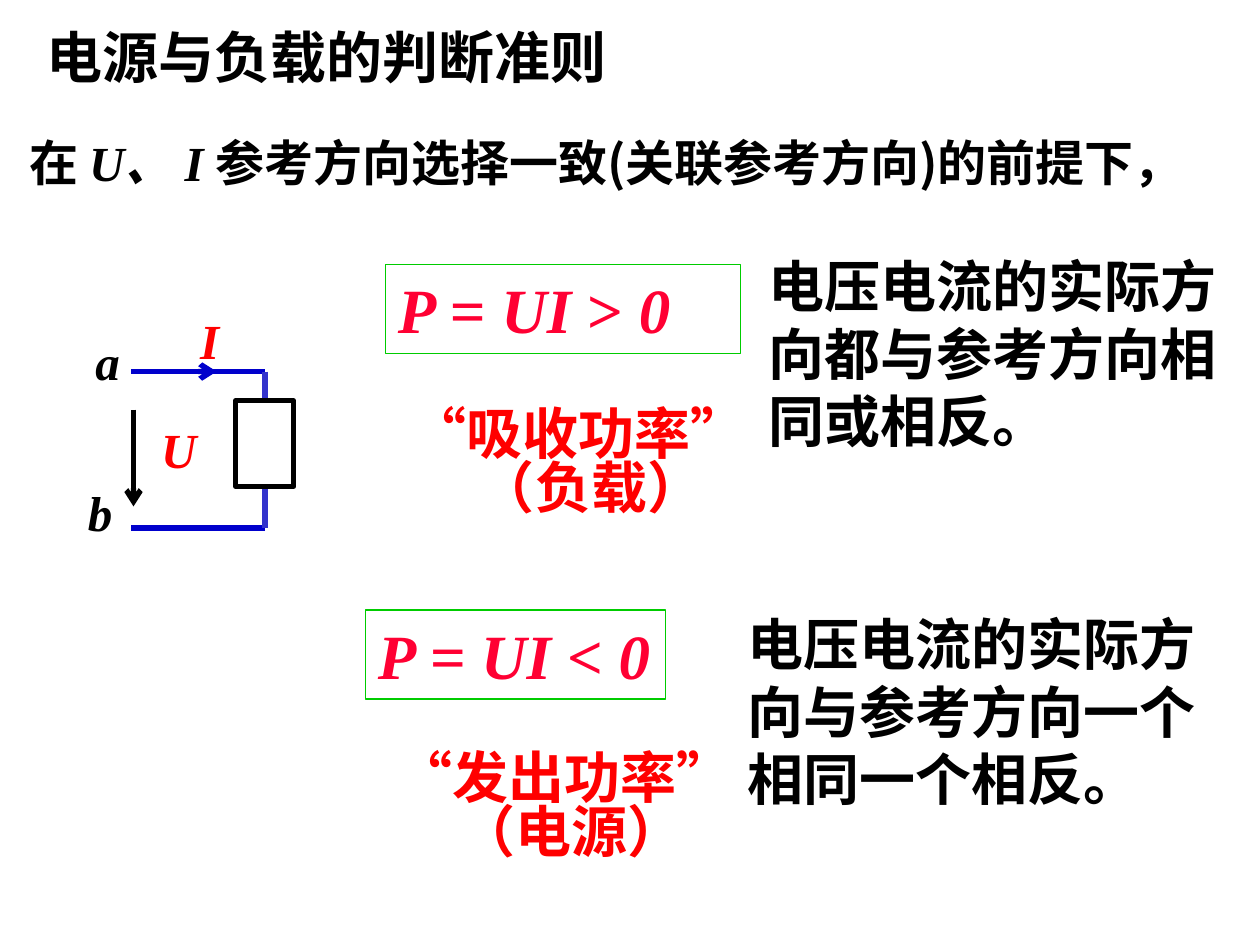
from dataclasses import dataclass

from lxml.etree import SubElement
from pptx import Presentation
from pptx.dml.color import RGBColor
from pptx.enum.shapes import MSO_CONNECTOR, MSO_SHAPE
from pptx.enum.text import MSO_ANCHOR, PP_ALIGN
from pptx.oxml.ns import qn
from pptx.util import Pt

BLACK = RGBColor(0x00, 0x00, 0x00)
WHITE = RGBColor(0xFF, 0xFF, 0xFF)
RED = RGBColor(0xFF, 0x00, 0x00)
CRIMSON = RGBColor(0xFF, 0x00, 0x33)
GREEN = RGBColor(0x00, 0xCC, 0x00)
BLUE = RGBColor(0x00, 0x00, 0xCC)
LIGHT_BLUE = RGBColor(0x33, 0x33, 0xCC)
CHINESE = "Noto Sans CJK SC"
ROMAN = "Times New Roman"


@dataclass
class Run:
    text: str
    italic: bool = False
    font: str = ROMAN


@dataclass
class Line:
    runs: list[Run]
    align: PP_ALIGN = PP_ALIGN.LEFT
    spacing: float = 1.0
    margin: float = 0
    indent: float = 0


@dataclass
class Box:
    left: float
    top: float
    width: float
    height: float
    lines: list[Line]
    size: float
    color: RGBColor = BLACK
    wrap: bool = True
    anchor: MSO_ANCHOR = MSO_ANCHOR.TOP
    border: RGBColor | None = None


@dataclass
class Wire:
    start: tuple[float, float]
    end: tuple[float, float]
    color: RGBColor
    arrow: bool = False


def plain(text: str, font: str = CHINESE) -> list[Line]:
    return [Line([Run(text, font=font)])]


def verdict(power: str, role: str, shift: float) -> list[Line]:
    return [
        Line([Run(power, font=CHINESE)], PP_ALIGN.CENTER, 0.8),
        Line([Run(role, font=CHINESE)], PP_ALIGN.CENTER, 0.8, margin=shift),
    ]


def symbol(left: float, top: float, width: float, text: str, color: RGBColor) -> Box:
    return Box(left, top, width, 41, [Line([Run(text, True)])], 28, color, wrap=False)


def draw_box(slide, box: Box) -> None:
    place = Pt(box.left), Pt(box.top), Pt(box.width), Pt(box.height)
    if box.border is None:
        shape = slide.shapes.add_textbox(*place)
    else:
        shape = slide.shapes.add_shape(MSO_SHAPE.RECTANGLE, *place)
        shape.shadow.inherit = False
        shape.fill.background()
        shape.line.color.rgb = box.border
        shape.line.width = Pt(0.75)
    frame = shape.text_frame
    frame.word_wrap = box.wrap
    frame.vertical_anchor = box.anchor
    for index, line in enumerate(box.lines):
        paragraph = frame.add_paragraph() if index else frame.paragraphs[0]
        paragraph.alignment = line.align
        paragraph.line_spacing = line.spacing
        properties = paragraph._p.get_or_add_pPr()
        properties.set("marL", str(Pt(line.margin)))
        properties.set("indent", str(Pt(line.indent)))
        paragraph.font.size = Pt(box.size)
        paragraph.font.bold = True
        paragraph.font.color.rgb = box.color
        for part in line.runs:
            run = paragraph.add_run()
            run.text = part.text
            run.font.size = Pt(box.size)
            run.font.bold = True
            run.font.italic = part.italic
            run.font.color.rgb = box.color
            run.font.name = part.font
            east_asian = SubElement(run._r.get_or_add_rPr(), qn("a:ea"))
            east_asian.set("typeface", CHINESE)


def draw_wire(slide, wire: Wire) -> None:
    ends = [Pt(value) for value in wire.start + wire.end]
    connector = slide.shapes.add_connector(MSO_CONNECTOR.STRAIGHT, *ends)
    connector.line.color.rgb = wire.color
    connector.line.width = Pt(3)
    if wire.arrow:
        SubElement(connector.line._get_or_add_ln(), qn("a:tailEnd")).set("type", "arrow")
    SubElement(connector._element.spPr, qn("a:effectLst"))


def draw_resistor(slide) -> None:
    resistor = slide.shapes.add_shape(MSO_SHAPE.RECTANGLE, Pt(134.8), Pt(229), Pt(33), Pt(49))
    resistor.shadow.inherit = False
    resistor.fill.solid()
    resistor.fill.fore_color.rgb = WHITE
    resistor.line.color.rgb = BLACK
    resistor.line.width = Pt(3)


PREMISE = Line(
    [
        Run("在 ", font=CHINESE),
        Run("U、 I ", True),
        Run("参考"),
        Run("方向选择一致(关联参考方向)的前提下，", font=CHINESE),
    ],
    spacing=1.2,
    indent=12.5,
)
ABSORBED = Line([Run("P ", True), Run("="), Run(" UI ", True), Run(">"), Run(" 0", True)])
DELIVERED = Line([Run("P = UI ", True), Run("< "), Run("0", True)])

BOXES = [
    # Title and premise; the premise is narrow enough to break before its last character
    Box(19.4, 9.4, 425.5, 45.4, plain("电源与负载的判断准则", "Arial"), 32),
    Box(-2.9, 65.5, 700, 47.5, [PREMISE], 28),
    # Load: power absorbed
    Box(220.3, 151.2, 203, 51, [ABSORBED], 36, CRIMSON, border=GREEN),
    Box(226.8, 231.8, 208, 68.4, verdict("“吸收功率”", "（负载）", 14), 32, RED, wrap=False),
    Box(432, 140.4, 279.4, 122.4, plain("电压电流的实际方向都与参考方向相同或相反。"), 32,
        anchor=MSO_ANCHOR.MIDDLE),
    # Source: power delivered
    Box(208.8, 348.5, 171.4, 51, [DELIVERED], 36, CRIMSON, wrap=False, border=GREEN),
    Box(218.9, 428.4, 208, 68.4, verdict("“发出功率”", "（电源）", 7), 32, RED, wrap=False),
    Box(419.8, 344.9, 279.4, 122.4, plain("电压电流的实际方向与参考方向一个相同一个相反。"), 32,
        anchor=MSO_ANCHOR.MIDDLE),
    # Circuit symbols
    symbol(107.3, 174.2, 25.2, "I", RED),
    symbol(85, 236.2, 34.6, "U", RED),
    symbol(47.5, 185.8, 28.8, "a", BLACK),
    symbol(43.2, 272.2, 28.8, "b", BLACK),
]

# Circuit wires
LEFT, RIGHT, UPPER, LOWER = 75, 151.5, 212.3, 301.7
WIRES = [
    Wire((RIGHT, UPPER), (116.6, UPPER), BLUE),
    Wire((LEFT, UPPER), (123.8, UPPER), BLUE, arrow=True),
    Wire((76.3, 234), (76.3, 289.4), BLACK, arrow=True),
    Wire((RIGHT, LOWER), (LEFT, LOWER), BLUE),
    Wire((RIGHT, UPPER), (RIGHT, LOWER), LIGHT_BLUE),
]


def main() -> None:
    presentation = Presentation()
    presentation.slide_width = Pt(720)
    presentation.slide_height = Pt(540)
    slide = presentation.slides.add_slide(presentation.slide_layouts[6])
    for box in BOXES:
        draw_box(slide, box)
    for wire in WIRES:
        draw_wire(slide, wire)
    draw_resistor(slide)
    presentation.save("out.pptx")


if __name__ == "__main__":
    main()
